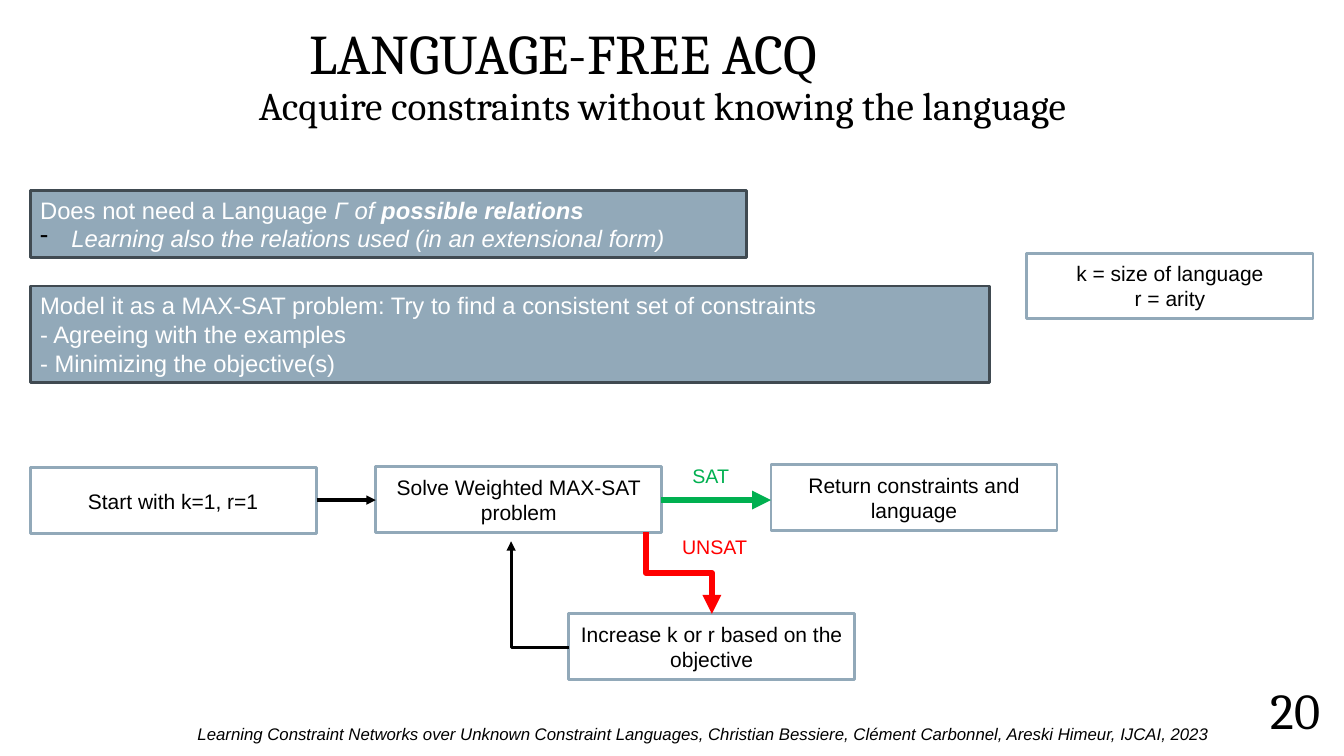
import pptx
import pptx.dml.color
import pptx.enum.shapes
import pptx.enum.text
import pptx.oxml.ns
import pptx.util
from lxml import etree

Cm, Pt = pptx.util.Cm, pptx.util.Pt
qn = pptx.oxml.ns.qn
ALIGN = pptx.enum.text.PP_ALIGN
ANCHOR = pptx.enum.text.MSO_ANCHOR
CONNECTOR = pptx.enum.shapes.MSO_CONNECTOR

BLACK, WHITE, RED, GREEN = "000000", "FFFFFF", "FF0000", "00B050"
STEEL, SLATE = "92A9B9", "404A51"
STEP_WIDTH, STEP_HEIGHT = 7.21, 1.65
ARROW_Y = 12.6


def color(value):
    return pptx.dml.color.RGBColor.from_string(value)


class SlideBuilder:
    """Holds the fonts and the slide being drawn; lengths are centimetres."""

    heading_font = "Cambria"
    body_font = "Arial"

    def __init__(self, presentation):
        self.slide = presentation.slides.add_slide(presentation.slide_layouts[5])

    def style(self, paragraph, size, ink, name=None, align=ALIGN.LEFT, italic=None):
        paragraph.alignment = align
        font = paragraph.font
        font.name, font.size = name or self.body_font, Pt(size)
        font.color.rgb = color(ink)
        font.italic = italic

    def title(self, box, lines):
        """Fill the title placeholder with (text, size) lines in one paragraph."""
        title = self.slide.shapes.title
        title.left, title.top, title.width, title.height = map(Cm, box)
        frame = title.text_frame
        frame.auto_size = pptx.enum.text.MSO_AUTO_SIZE.NONE
        frame.vertical_anchor = ANCHOR.BOTTOM
        paragraph = frame.paragraphs[0]
        paragraph.line_spacing = 0.9
        self.style(paragraph, lines[0][1], BLACK, self.heading_font)
        for index, (text, size) in enumerate(lines):
            if index:
                paragraph.add_line_break()
            run = paragraph.add_run()
            run.text = text
            run.font.size = Pt(size)

    def text(self, box, text, size, ink=BLACK, wrap=True, anchor=ANCHOR.TOP, **style):
        frame = self.slide.shapes.add_textbox(*map(Cm, box)).text_frame
        frame.word_wrap = wrap
        frame.vertical_anchor = anchor
        paragraph = frame.paragraphs[0]
        paragraph.text = text
        self.style(paragraph, size, ink, **style)
        return frame

    def rectangle(self, box, fill, line, anchor):
        shape = self.slide.shapes.add_shape(
            pptx.enum.shapes.MSO_SHAPE.RECTANGLE, *map(Cm, box))
        shape.shadow.inherit = False
        shape.fill.solid()
        shape.fill.fore_color.rgb = color(fill)
        shape.line.color.rgb = color(line)
        shape.line.width = Pt(2)
        shape.text_frame.word_wrap = True
        shape.text_frame.vertical_anchor = anchor
        return shape.text_frame

    def step(self, left, top, text):
        """Draw a white box with centred text, one paragraph a line."""
        frame = self.rectangle((left, top, STEP_WIDTH, STEP_HEIGHT),
                               WHITE, STEEL, ANCHOR.MIDDLE)
        frame.text = text
        for paragraph in frame.paragraphs:
            self.style(paragraph, 15, BLACK, align=ALIGN.CENTER)

    def panel(self, box, text):
        """Draw a filled box with white text, one paragraph a line."""
        frame = self.rectangle(box, STEEL, SLATE, ANCHOR.TOP)
        frame.text = text
        for paragraph in frame.paragraphs:
            self.style(paragraph, 17, WHITE)
        return frame

    def dashed_item(self, frame, text):
        paragraph = frame.add_paragraph()
        paragraph.text = text
        properties = paragraph._p.get_or_add_pPr()
        indent = Cm(0.79)
        properties.set("marL", str(indent))
        properties.set("indent", str(-indent))
        bullet_color = etree.SubElement(properties, qn("a:buClr"))
        etree.SubElement(bullet_color, qn("a:srgbClr"), val=BLACK)
        etree.SubElement(properties, qn("a:buChar"), char="-")
        self.style(paragraph, 17, WHITE, italic=True)

    def arrow(self, begin, end, ink, width, kind=CONNECTOR.STRAIGHT):
        connector = self.slide.shapes.add_connector(
            kind, *map(Cm, begin), *map(Cm, end))
        connector.line.color.rgb = color(ink)
        connector.line.width = Pt(width)
        etree.SubElement(connector.line._get_or_add_ln(), qn("a:tailEnd"),
                         type="triangle")
        properties = connector._element.spPr
        etree.SubElement(properties, qn("a:effectLst"))
        return properties

    def elbow(self, begin, end, ink, width, degrees, preset):
        """Draw a bent arrow from its unrotated ends, then turn it."""
        properties = self.arrow(begin, end, ink, width, CONNECTOR.ELBOW)
        properties.find(qn("a:xfrm")).set("rot", str(degrees * 60000))
        properties.find(qn("a:prstGeom")).set("prst", preset)


def main():
    presentation = pptx.Presentation()
    presentation.slide_width, presentation.slide_height = Cm(33.87), Cm(19.05)
    builder = SlideBuilder(presentation)

    builder.title((6.27, 0.03, 25.1, 3.35), [
        ("\tLANGUAGE-FREE ACQ", 40),
        ("Acquire constraints without knowing the language", 28)])
    number = builder.text((31.37, 17.15, 2.54, 1.65), "20", 36, anchor=ANCHOR.MIDDLE,
                          name=builder.heading_font, align=ALIGN.CENTER)
    number.margin_left = number.margin_right = Cm(0.13)
    number.paragraphs[0].line_spacing = 0.9
    builder.text(
        (4.37, 18.11, 26.37, 0.76),
        "Learning Constraint Networks over Unknown Constraint Languages, "
        "Christian Bessiere, Clément Carbonnel, Areski Himeur, IJCAI, 2023",
        12, align=ALIGN.RIGHT, italic=True)

    language = builder.panel((0.76, 4.8, 18.06, 1.7), "Does not need a Language ")
    for text, bold in (("Γ of ", None), ("possible relations", True)):
        run = language.paragraphs[0].add_run()
        run.text = text
        run.font.italic, run.font.bold = True, bold
    builder.dashed_item(
        language, "Learning also the relations used (in an extensional form)")
    builder.panel(
        (0.76, 7.21, 24.18, 2.44),
        "Model it as a MAX-SAT problem: Try to find a consistent set of constraints\n"
        "- Agreeing with the examples\n"
        "- Minimizing the objective(s)")

    for left, top, text in (
            (25.88, 6.38, "k = size of language\nr = arity"),
            (0.76, 11.79, "Start with k=1, r=1"),
            (9.47, 11.76, "Solve Weighted MAX-SAT\nproblem"),
            (19.43, 11.71, "Return constraints and language"),
            (14.33, 15.47, "Increase k or r based on the objective")):
        builder.step(left, top, text)

    builder.arrow((7.98, ARROW_Y), (9.47, ARROW_Y), BLACK, 2.25)
    builder.arrow((16.66, ARROW_Y), (19.43, ARROW_Y), GREEN, 4.5)
    builder.elbow((18.14, 13.61), (16.08, 15.27), RED, 4.5, 270, "bentConnector3")
    builder.elbow((12.88, 13.64), (14.33, 16.31), BLACK, 2.25, 180, "bentConnector2")
    builder.text((17.2, 11.56, 1.47, 0.86), "SAT", 14, GREEN, wrap=False)
    builder.text((16.94, 13.36, 2.21, 0.86), "UNSAT", 14, RED, wrap=False)

    presentation.save("out.pptx")


if __name__ == "__main__":
    main()
